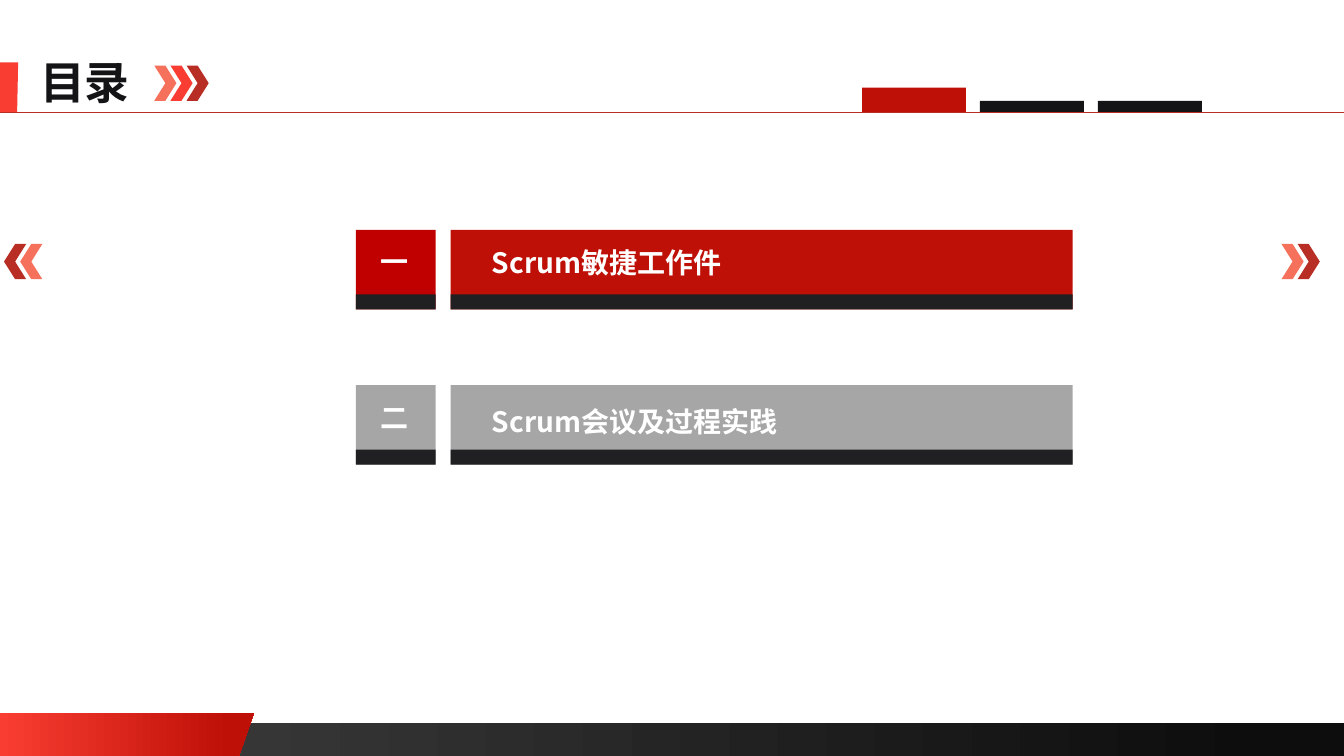
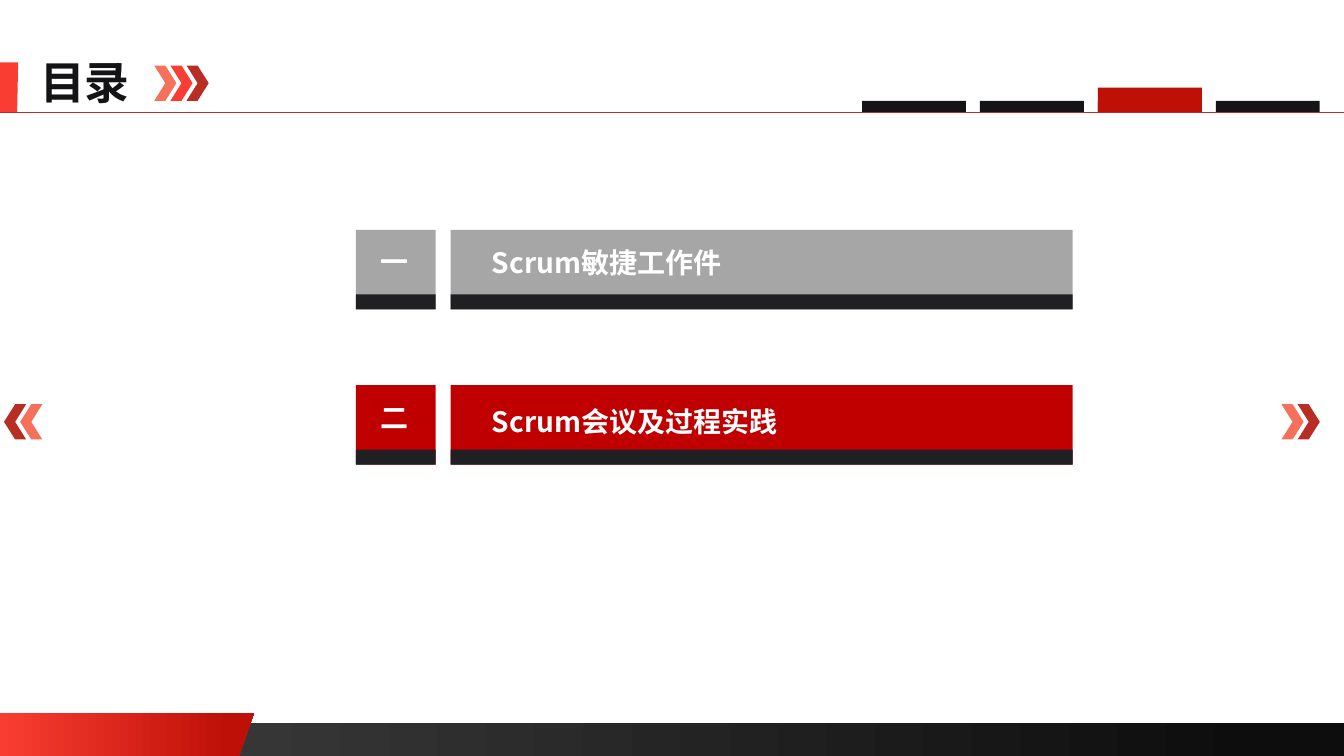
"""Build two agenda slides that mark the current chapter."""
from typing import NamedTuple

from lxml.etree import SubElement
from pptx import Presentation
from pptx.dml.color import RGBColor as Rgb
from pptx.enum.shapes import MSO_CONNECTOR as Link, MSO_SHAPE as Kind
from pptx.enum.text import MSO_AUTO_SIZE as Fit, PP_ALIGN as Align
from pptx.oxml.ns import qn
from pptx.util import Inches, Pt

WIDE, HIGH = 13.33, 7.5
FACE = "Noto Sans CJK SC"
HEX = {
    "white": "FFFFFF", "ink": "141316", "base": "202022", "grey": "A6A6A6",
    "coral": "F5715B", "red": "F93D32", "brick": "B82E24",
    "deep": "BE1007", "pure": "C00000", "smoke": "404040", "coal": "0D0D0D",
}
HEAD = {"size": Pt(32), "bold": True, "name": FACE}
BODY = {"size": Pt(20), "bold": True, "name": FACE}
TAB_X, TAB_STEP, TAB_W, TAB_END = 8.55, 1.17, 1.03, 1.11
ROW_Y, ROW_STEP, ROW_H, BASE_H = 2.28, 1.54, 0.79, 0.15
NUM_X, BAR_X, BAR_W = 3.53, 4.47, 6.17
MARK_STEP = 0.16


class Box(NamedTuple):
    x: float
    y: float
    w: float
    h: float


class Item(NamedTuple):
    num: str
    text: str
    drop: float


class Page(NamedTuple):
    item: int
    bar: str
    tabs: int
    tab: int
    mark_y: float


ITEMS = [Item("一", "Scrum敏捷工作件", 0.11), Item("二", "Scrum会议及过程实践", 0.14)]
PAGES = [Page(0, "deep", 3, 0, 2.42), Page(1, "pure", 4, 2, 4.01)]


def tint(name: str) -> Rgb:
    return Rgb.from_string(HEX[name])


def paint(shape, *names: str, end: float = 1.0) -> None:
    shape.shadow.inherit = False
    shape.line.fill.background()
    if len(names) == 1:
        shape.fill.solid()
        shape.fill.fore_color.rgb = tint(names[0])
        return
    shape.fill.gradient()
    shape.fill.gradient_angle = 0
    for stop, name, place in zip(shape.fill.gradient_stops, names, (0, end)):
        stop.color.rgb = tint(name)
        stop.position = place


def block(slide, box: Box, *names: str, kind=Kind.RECTANGLE, end: float = 1.0):
    shape = slide.shapes.add_shape(kind, *map(Inches, box))
    paint(shape, *names, end=end)
    return shape


def wedge(slide, top: float, foot: float, wide: float, slant: float,
          *names: str, end: float = 1.0) -> None:
    dots = [(wide, top), (wide - slant, foot), (0, foot)]
    path = slide.shapes.build_freeform(0, Inches(top))
    path.add_line_segments([(Inches(x), Inches(y)) for x, y in dots])
    paint(path.convert_to_shape(), *names, end=end)


def label(slide, box: Box, text: str, style: dict, hue: str,
          align=Align.LEFT, wrap: bool = False) -> None:
    frame = slide.shapes.add_textbox(*map(Inches, box)).text_frame
    frame.word_wrap = wrap
    frame.auto_size = Fit.SHAPE_TO_FIT_TEXT
    para = frame.paragraphs[0]
    para.alignment = align
    run = para.add_run()
    run.text = text
    for key, value in style.items():
        setattr(run.font, key, value)
    run.font.color.rgb = tint(hue)
    SubElement(run.font._element, qn("a:ea"), typeface=FACE)


def marks(slide, x: float, y: float, names: list[str], turn: int = 0) -> None:
    for i, name in enumerate(names):
        box = Box(x + i * MARK_STEP, y, 0.22, 0.35)
        block(slide, box, name, kind=Kind.CHEVRON).rotation = turn


def frame(slide) -> None:
    block(slide, Box(0, 7.17, WIDE, 0.33), "smoke", "coal", end=0.94)
    wedge(slide, 7.07, HIGH, 2.52, 0.15, "red", "deep", end=0.91)
    wedge(slide, 0.62, 1.12, 0.18, 0.01, "red")
    label(slide, Box(0.3, 0.49, 1.1, 0.64), "目录", HEAD, "ink")
    rule = slide.shapes.add_connector(
        Link.STRAIGHT, 0, Inches(TAB_END), Inches(WIDE), Inches(TAB_END))
    rule.line.color.rgb = tint("brick")
    rule.line.width = Pt(0.5)
    SubElement(rule._element.spPr, qn("a:effectLst"))
    marks(slide, 1.53, 0.65, ["coral", "red", "brick"])


def tab(slide, i: int, high: float, hue: str) -> None:
    block(slide, Box(TAB_X + i * TAB_STEP, TAB_END - high, TAB_W, high), hue)


def row(slide, i: int, item: Item, num_hue: str, bar_hue: str) -> None:
    y = ROW_Y + i * ROW_STEP
    for x, wide, hue in ((NUM_X, ROW_H, num_hue), (BAR_X, BAR_W, bar_hue)):
        block(slide, Box(x, y, wide, ROW_H), hue)
        block(slide, Box(x, y + ROW_H - BASE_H, wide, BASE_H), "base")
    label(slide, Box(3.67, y + 0.1, 0.48, 0.44), item.num, BODY, "white", Align.CENTER)
    label(slide, Box(4.78, y + item.drop, 3.39, 0.44), item.text, BODY, "white", wrap=True)


def draw(slide, page: Page) -> None:
    frame(slide)
    marks(slide, 12.71, page.mark_y, ["coral", "brick"])
    marks(slide, 0.04, page.mark_y, ["brick", "coral"], turn=180)
    for i in range(page.tabs):
        tab(slide, i, 0.11, "ink")
    tab(slide, page.tab, 0.24, "deep")
    for i, item in enumerate(ITEMS):
        hues = ("pure", page.bar) if i == page.item else ("grey", "grey")
        row(slide, i, item, *hues)


def main() -> None:
    deck = Presentation()
    deck.slide_width, deck.slide_height = Inches(WIDE), Inches(HIGH)
    for page in PAGES:
        draw(deck.slides.add_slide(deck.slide_layouts[6]), page)
    deck.save("out.pptx")


if __name__ == "__main__":
    main()
